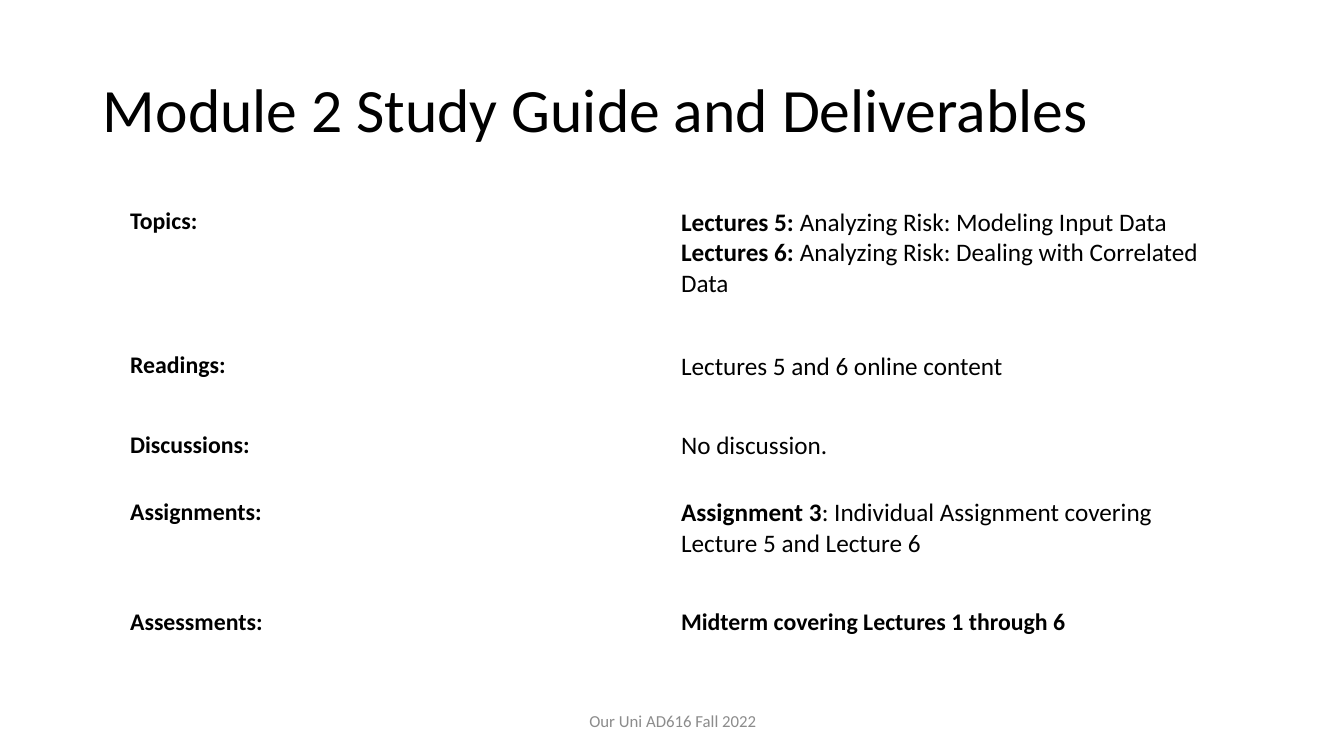
"""Build the Module 2 study guide slide."""
import dataclasses

import pptx
import pptx.dml.color
import pptx.enum.text
import pptx.util

PIXEL = 914400 / 100.8
FONT = "Calibri"
BLACK = pptx.dml.color.RGBColor(0x00, 0x00, 0x00)
GREY = pptx.dml.color.RGBColor(0x8C, 0x8C, 0x8C)
ALIGN = pptx.enum.text.PP_ALIGN


@dataclasses.dataclass(frozen=True)
class Span:
    text: str
    size: int = 18
    bold: bool = False
    color: pptx.dml.color.RGBColor = BLACK


@dataclasses.dataclass(frozen=True)
class Label:
    left: int
    top: int
    width: int
    height: int
    span: Span
    align: ALIGN = ALIGN.LEFT
    line_spacing: float = 1.0


@dataclasses.dataclass(frozen=True)
class GuideRow:
    height: int
    heading: str
    lines: tuple[tuple[Span, ...], ...]


LABELS = (
    Label(93, 40, 1159, 146, Span("Module 2 Study Guide and Deliverables", 44), line_spacing=0.9),
    Label(446, 701, 454, 40, Span("Our Uni AD616 Fall 2022", 12, color=GREY), ALIGN.CENTER),
)

TABLE_LEFT, TABLE_TOP, COLUMN_WIDTH = 120, 202, 551
GUIDE_ROWS = (
    GuideRow(144, "Topics:", (
        (Span("Lectures 5:\u00a0", bold=True), Span("Analyzing Risk: Modeling Input Data")),
        (Span("Lectures 6:\u00a0", bold=True), Span("Analyzing Risk: Dealing with Correlated Data")),
    )),
    GuideRow(80, "Readings:", ((Span("Lectures 5 and 6 online content"),),)),
    GuideRow(67, "Discussions:", ((Span("No discussion."),),)),
    GuideRow(110, "Assignments:", ((
        Span("Assignment 3", bold=True),
        Span(": Individual Assignment covering Lecture 5 and Lecture 6"),
    ),)),
    GuideRow(38, "Assessments:", ((Span("Midterm covering Lectures 1 through 6", 17, True),),)),
)


def emu(pixels: int) -> pptx.util.Emu:
    return pptx.util.Emu(round(pixels * PIXEL))


def add_span(para, span: Span) -> None:
    run = para.add_run()
    run.text = span.text
    run.font.name = FONT
    run.font.size = pptx.util.Pt(span.size)
    run.font.bold = span.bold
    run.font.color.rgb = span.color


def add_label(page, label: Label) -> None:
    box = page.shapes.add_textbox(*map(emu, (label.left, label.top, label.width, label.height)))
    frame = box.text_frame
    frame.word_wrap = True
    frame.vertical_anchor = pptx.enum.text.MSO_ANCHOR.MIDDLE
    para = frame.paragraphs[0]
    para.alignment = label.align
    para.line_spacing = label.line_spacing
    add_span(para, label.span)


def fill_cell(cell, lines: tuple[tuple[Span, ...], ...]) -> None:
    cell.fill.background()
    para = cell.text_frame.paragraphs[0]
    for index, line in enumerate(lines):
        if index:
            para.add_line_break()
        for span in line:
            add_span(para, span)


def add_guide(page, rows: tuple[GuideRow, ...]) -> None:
    height = sum(row.height for row in rows)
    table = page.shapes.add_table(
        len(rows), 2, *map(emu, (TABLE_LEFT, TABLE_TOP, 2 * COLUMN_WIDTH, height))
    ).table
    table.first_row = False
    table.horz_banding = False
    for column in table.columns:
        column.width = emu(COLUMN_WIDTH)
    for index, row in enumerate(rows):
        table.rows[index].height = emu(row.height)
        fill_cell(table.cell(index, 0), ((Span(row.heading, 17, True),),))
        fill_cell(table.cell(index, 1), row.lines)


def main() -> None:
    deck = pptx.Presentation()
    deck.slide_width, deck.slide_height = emu(1344), emu(756)
    page = deck.slides.add_slide(deck.slide_layouts[6])
    add_guide(page, GUIDE_ROWS)
    for label in LABELS:
        add_label(page, label)
    deck.save("out.pptx")


main()
